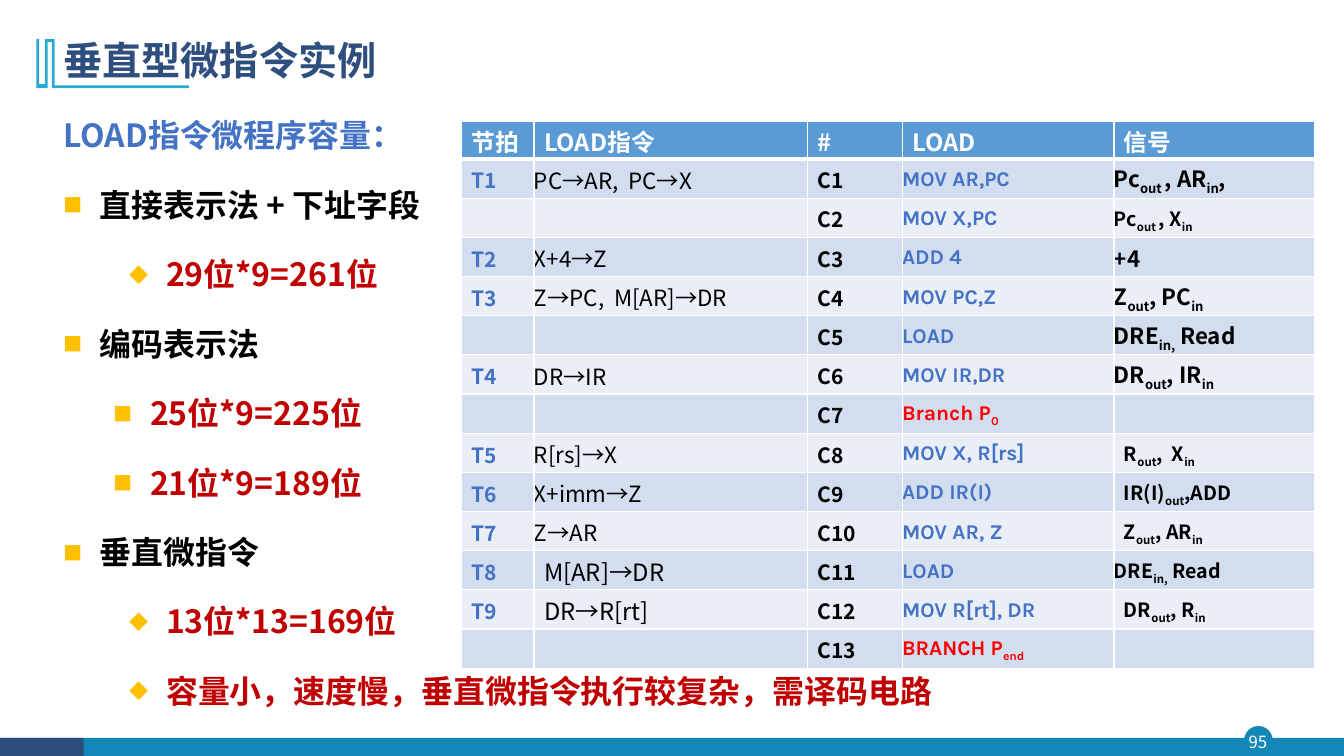
from lxml.etree import SubElement as Sub
from pptx import Presentation
from pptx.dml.color import RGBColor as Rgb
from pptx.enum.shapes import MSO_SHAPE as Shape
from pptx.enum.text import MSO_ANCHOR as Anchor, PP_ALIGN as Align
from pptx.oxml import parse_xml
from pptx.oxml.ns import nsdecls, qn
from pptx.util import Pt

COLORS = {
    "teal": "1387B7", "navy": "2E4E7E", "sky": "28A9D6", "white": "FFFFFF",
    "black": "000000", "blue": "4472C4", "gold": "FFC000", "wine": "C00000",
    "red": "FF0000", "head": "5B9BD5", "odd": "D2DEEF", "even": "EAEFF7",
}
SANS = "Noto Sans CJK SC"
KARLA = "Karla"
PAD = 7.2

FRAME = [
    (38.9, 28), (38.9, 61.2), (134.6, 61.2), (134.6, 62.6), (37.4, 62.6),
    (37.4, 29.5), (33.8, 29.5), (33.8, 62.6), (26, 62.6), (26, 28),
    (28, 28), (28, 60.5), (31.7, 60.5), (31.7, 28),
]

POINTS = [
    ("LOAD指令微程序容量：", "blue", 0, ""),
    ("直接表示法 + 下址字段", "black", 26, "■"),
    ("29位*9=261位", "wine", 73.4, "◆"),
    ("编码表示法", "black", 26, "■"),
    ("25位*9=225位", "wine", 62, "■"),
    ("21位*9=189位", "wine", 62, "■"),
    ("垂直微指令", "black", 26, "■"),
    ("13位*13=169位", "wine", 73.4, "◆"),
    ("容量小，速度慢，垂直微指令执行较复杂，需译码电路", "wine", 73.4, "◆"),
]

HEADS = ["节拍", "LOAD指令", "#", "LOAD", "信号"]
WIDTHS = [51.6, 195.2, 67.8, 151.3, 143.2]
STEPS = [
    ("T1", "PC→AR,  PC→X", "MOV AR,PC", "Pc~out ~, AR~in~,", 16, 0),
    ("", "", "MOV X,PC", "Pc~out ~, X~in~", 14, 0),
    ("T2", "X+4→Z", "ADD 4", "+4", 16, 0),
    ("T3", "Z→PC,  M[AR]→DR", "MOV PC,Z", "Z~out~, PC~in~", 16, 0),
    ("", "", "LOAD", "DRE~in,~ Read", 16, 0),
    ("T4", "DR→IR", "MOV IR,DR", "DR~out~, IR~in~", 16, 0),
    ("", "", "Branch P~0~", "", 16, 0),
    ("T5", "R[rs]→X", "MOV X, R[rs]", "R~out~,  X~in~", 14, PAD),
    ("T6", "X+imm→Z", "ADD IR(I)", "IR(I)~out~,ADD", 14, PAD),
    ("T7", "Z→AR", "MOV AR, Z", "Z~out~, AR~in~", 14, PAD),
    ("T8", "M[AR]→DR", "LOAD", "DRE~in,~ Read", 14, 0),
    ("T9", "DR→R[rt]", "MOV R[rt], DR", "DR~out~, R~in~", 14, PAD),
    ("", "", "BRANCH P~end~", "", 14, 0),
]


def tint(name):
    return Rgb.from_string(COLORS[name])


def write(para, text, size=15, color="black", bold=True, face=SANS):
    for i, part in enumerate(text.split("~")):
        if not part:
            continue
        run = para.add_run()
        run.text = part
        font = run.font
        font.size, font.bold, font.name = Pt(size), bold, face
        font.color.rgb = tint(color)
        props = run._r.get_or_add_rPr()
        Sub(props, qn("a:ea")).set("typeface", SANS)
        if i % 2:
            props.set("baseline", "-25000")


class Deck:
    def __init__(self):
        self.file = Presentation()
        self.file.slide_width, self.file.slide_height = Pt(960), Pt(540)
        self.slide = self.file.slides.add_slide(self.file.slide_layouts[6])
        self.shapes = self.slide.shapes

    def paint(self, shape, color):
        shape.shadow.inherit = False
        shape.fill.solid()
        shape.fill.fore_color.rgb = tint(color)
        shape.line.fill.background()

    def block(self, kind, box, color):
        self.paint(self.shapes.add_shape(kind, *map(Pt, box)), color)

    def outline(self, dots, color):
        pen = self.shapes.build_freeform(*dots[0], scale=Pt(1))
        pen.add_line_segments(dots[1:], close=True)
        self.paint(pen.convert_to_shape(), color)

    def text(self, box, anchor, pad=True):
        frame = self.shapes.add_textbox(*map(Pt, box)).text_frame
        frame.word_wrap = True
        frame.vertical_anchor = anchor
        if not pad:
            frame.margin_left = frame.margin_right = 0
            frame.margin_top = frame.margin_bottom = 0
        return frame

    def bullet(self, para, mark, left):
        props = para._p.get_or_add_pPr()
        props.set("marL", str(Pt(left)))
        props.set("indent", str(Pt(-26)))
        Sub(Sub(props, qn("a:buClr")), qn("a:srgbClr")).set("val", COLORS["gold"])
        Sub(props, qn("a:buSzPct")).set("val", "60000")
        Sub(props, qn("a:buFont")).set("typeface", SANS)
        Sub(props, qn("a:buChar")).set("char", mark)

    def points(self, box, items):
        frame = self.text(box, Anchor.TOP)
        for i, (text, color, left, mark) in enumerate(items):
            para = frame.add_paragraph() if i else frame.paragraphs[0]
            para.line_spacing = Pt(38.2)
            para.space_before = Pt(5.7 if i else 0)
            para.space_after = Pt(5.7)
            if mark:
                para.level = int(left > 26)
                self.bullet(para, mark, left)
            write(para, text, size=22.8, color=color)

    def cell(self, cell, text, fill, pad=PAD, base=1, **style):
        cell.vertical_anchor = Anchor.MIDDLE
        cell.margin_left = cell.margin_right = Pt(pad)
        cell.margin_top, cell.margin_bottom = Pt(1.5), 0
        cell.fill.solid()
        cell.fill.fore_color.rgb = tint(fill)
        props = cell._tc.get_or_add_tcPr()
        for i, side in enumerate("LRTB"):
            wide = base if side == "B" else 1
            props.insert(i, parse_xml(
                f'<a:ln{side} {nsdecls("a")} w="{Pt(wide)}"><a:solidFill>'
                f'<a:srgbClr val="{COLORS["white"]}"/></a:solidFill></a:ln{side}>'))
        write(cell.text_frame.paragraphs[0], text, **style)

    def table(self, left, top):
        rows = len(STEPS) + 1
        grid = self.shapes.add_table(
            rows, len(HEADS), Pt(left), Pt(top),
            Pt(sum(WIDTHS)), Pt(27 + 28 * len(STEPS))).table
        for col, wide in zip(grid.columns, WIDTHS):
            col.width = Pt(wide)
        for i, row in enumerate(grid.rows):
            row.height = Pt(28 if i else 27)
        for i, head in enumerate(HEADS):
            self.cell(grid.cell(0, i), head, "head", base=3, size=17, color="white")
        for i, (beat, move, code, sign, size, pad) in enumerate(STEPS, 1):
            fill = "odd" if i % 2 else "even"
            late = beat in ("T8", "T9")
            branch = code.upper().startswith("BRANCH")
            styles = [
                (beat, dict(color="blue")),
                (move, dict(size=17 if late else 16, bold=False,
                            pad=PAD if late else 0)),
                (f"C{i}", {}),
                (code, dict(face=KARLA, pad=0, color="red" if branch else "blue")),
                (sign, dict(size=size, pad=pad)),
            ]
            for j, (text, style) in enumerate(styles):
                self.cell(grid.cell(i, j), text, fill, **style)


def main():
    deck = Deck()
    deck.block(Shape.OVAL, (888.7, 518.6, 20.4, 20.4), "teal")
    deck.block(Shape.RECTANGLE, (0.5, 527, 959.5, 13), "teal")
    deck.block(Shape.RECTANGLE, (0, 527, 59.8, 13), "navy")
    page = deck.text((887, 519, 23, 22), Anchor.MIDDLE, pad=False).paragraphs[0]
    page.alignment = Align.CENTER
    write(page, "95", size=12, color="white", bold=False)
    deck.outline(FRAME, "sky")
    title = deck.text((38.2, 20, 828, 49), Anchor.MIDDLE).paragraphs[0]
    title.line_spacing = 0.9
    write(title, "垂直型微指令实例", size=28, color="navy")
    deck.points((38.2, 68.4, 680, 447), POINTS)
    deck.table(329.8, 86.6)
    deck.file.save("out.pptx")


if __name__ == "__main__":
    main()
